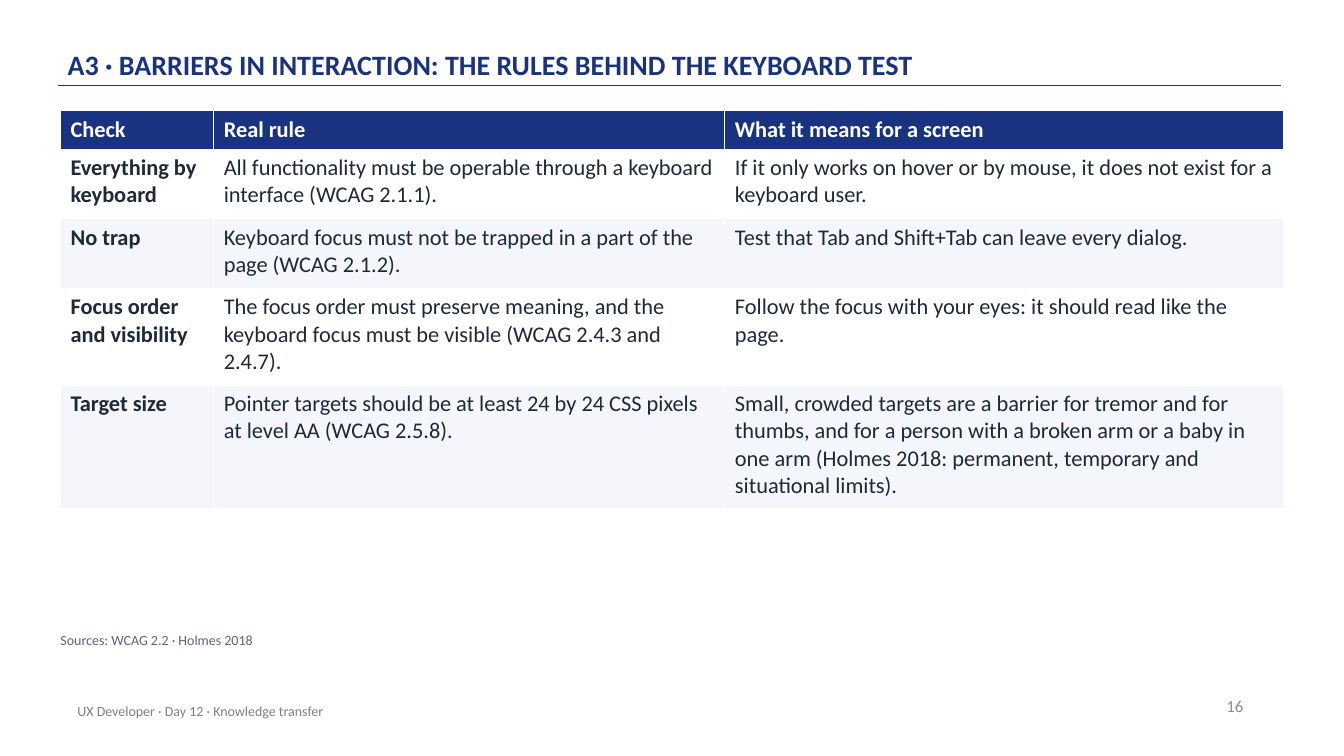
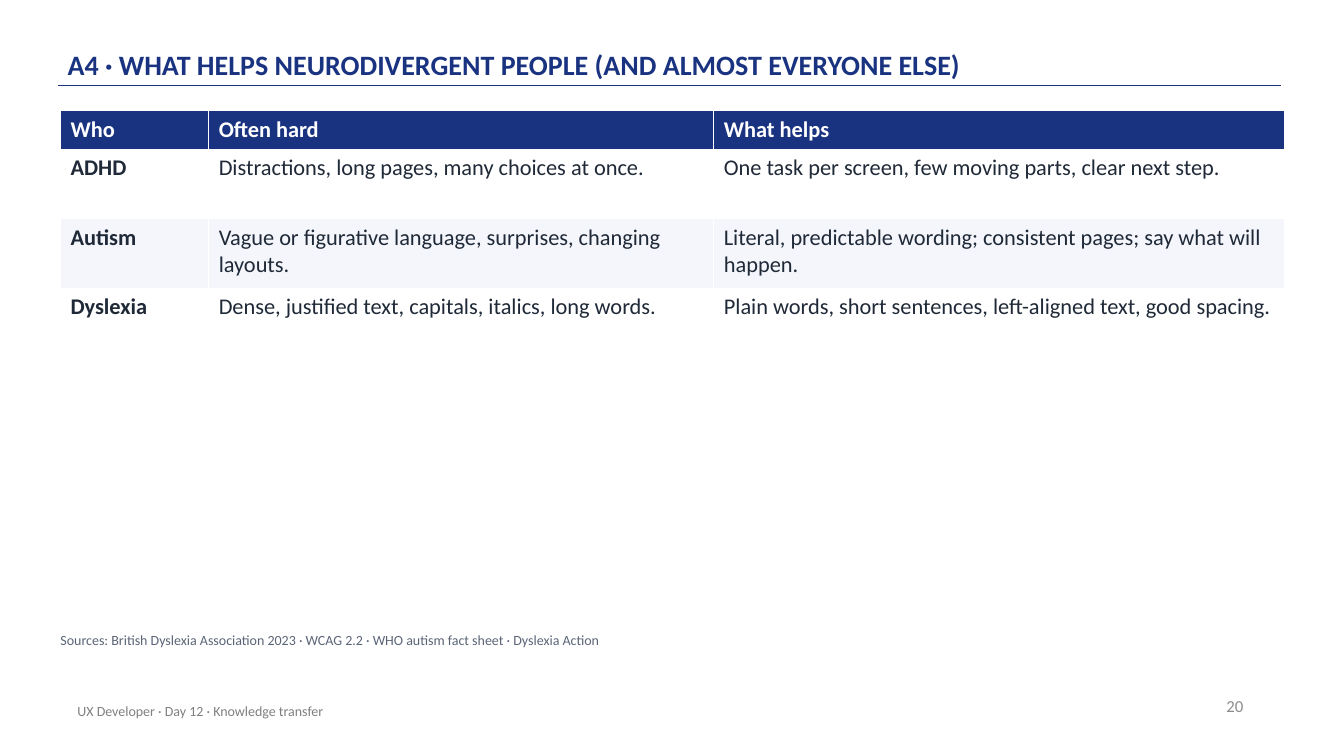
import pptx
import pptx.dml.color
import pptx.enum.shapes
import pptx.enum.text
import pptx.oxml.ns
import pptx.util
from lxml import etree
from pptx.util import Inches

COLORS = {
    "navy": "1A3381",
    "white": "FFFFFF",
    "band": "F4F6FB",
    "body": "1F2937",
    "source": "5B6577",
    "footer": "808080",
    "number": "8C8C8C",
}
FONT = "Calibri"
FOOTER = "UX Developer · Day 12 · Knowledge transfer"
ANCHOR = pptx.enum.text.MSO_ANCHOR
ALIGN = pptx.enum.text.PP_ALIGN

SLIDES = [
    {
        "title": "A3 · BARRIERS IN INTERACTION: THE RULES BEHIND THE KEYBOARD TEST",
        "number": 16,
        "sources": "Sources: WCAG 2.2 · Holmes 2018",
        "columns": [1.52, 5.07, 5.54],
        "heights": [0.38, 0.69, 0.69, 0.96, 1.23],
        "rows": [
            ["Check", "Real rule", "What it means for a screen"],
            ["Everything by keyboard",
             "All functionality must be operable through a keyboard interface (WCAG 2.1.1).",
             "If it only works on hover or by mouse, it does not exist for a keyboard user."],
            ["No trap",
             "Keyboard focus must not be trapped in a part of the page (WCAG 2.1.2).",
             "Test that Tab and Shift+Tab can leave every dialog."],
            ["Focus order and visibility",
             "The focus order must preserve meaning, and the keyboard focus must be visible "
             "(WCAG 2.4.3 and 2.4.7).",
             "Follow the focus with your eyes: it should read like the page."],
            ["Target size",
             "Pointer targets should be at least 24 by 24 CSS pixels at level AA (WCAG 2.5.8).",
             "Small, crowded targets are a barrier for tremor and for thumbs, and for a person "
             "with a broken arm or a baby in one arm (Holmes 2018: permanent, temporary and "
             "situational limits)."],
        ],
    },
    {
        "title": "A4 · WHAT HELPS NEURODIVERGENT PEOPLE (AND ALMOST EVERYONE ELSE)",
        "number": 20,
        "sources": "Sources: British Dyslexia Association 2023 · WCAG 2.2 · "
                   "WHO autism fact sheet · Dyslexia Action",
        "columns": [1.47, 5.01, 5.66],
        "heights": [0.38, 0.69, 0.69, 0.69],
        "rows": [
            ["Who", "Often hard", "What helps"],
            ["ADHD",
             "Distractions, long pages, many choices at once.",
             "One task per screen, few moving parts, clear next step."],
            ["Autism",
             "Vague or figurative language, surprises, changing layouts.",
             "Literal, predictable wording; consistent pages; say what will happen."],
            ["Dyslexia",
             "Dense, justified text, capitals, italics, long words.",
             "Plain words, short sentences, left-aligned text, good spacing."],
        ],
    },
]


def rgb(name):
    """Return the named colour."""
    return pptx.dml.color.RGBColor.from_string(COLORS[name])


def style(paragraph, size, color, bold=False):
    """Set the font of a paragraph."""
    font = paragraph.font
    font.name, font.size, font.bold = FONT, pptx.util.Pt(size), bold
    font.color.rgb = rgb(color)


def add_text(slide, box, text, size, color, bold=False, anchor=ANCHOR.MIDDLE,
             insets=(0.1, 0.05)):
    """Add a one-paragraph text box and return its paragraph."""
    frame = slide.shapes.add_textbox(*map(Inches, box)).text_frame
    frame.word_wrap = True
    frame.vertical_anchor = anchor
    frame.margin_left = frame.margin_right = Inches(insets[0])
    frame.margin_top = frame.margin_bottom = Inches(insets[1])
    paragraph = frame.paragraphs[0]
    paragraph.text = text
    style(paragraph, size, color, bold)
    return paragraph


def add_header(slide, box, title):
    """Add the title and the rule beneath it."""
    left, top, width, height = box
    paragraph = add_text(slide, (left + 0.09, top, 11, height - 0.01), title, 20, "navy",
                         True, ANCHOR.BOTTOM, (0, 0.03))
    paragraph.line_spacing = 0.9
    bottom = Inches(top + height)
    rule = slide.shapes.add_connector(pptx.enum.shapes.MSO_CONNECTOR.STRAIGHT,
                                      Inches(left), bottom, Inches(left + width), bottom)
    rule.line.color.rgb = rgb("navy")
    rule.line.width = pptx.util.Pt(1)
    etree.SubElement(rule._element.spPr, pptx.oxml.ns.qn("a:effectLst"))


def add_footer(slide, box, number):
    """Add the running footer and the slide number."""
    left, top, width, height = box
    add_text(slide, (left, top + 0.05, 6.7, height), FOOTER, 10, "footer")
    paragraph = add_text(slide, (left + width - 3, top, 3, height), str(number), 12, "number")
    paragraph.alignment = ALIGN.RIGHT


def add_rule_table(slide, left, top, columns, heights, rows):
    """Add a table with a navy header, banded rows and a bold first column."""
    table = slide.shapes.add_table(len(rows), len(columns), Inches(left), Inches(top),
                                   Inches(sum(columns)), Inches(sum(heights))).table
    for column, width in zip(table.columns, columns):
        column.width = Inches(width)
    for row_index, (row, height, texts) in enumerate(zip(table.rows, heights, rows)):
        row.height = Inches(height)
        header = row_index == 0
        fill = "navy" if header else "white" if row_index % 2 else "band"
        for column_index, (cell, text) in enumerate(zip(row.cells, texts)):
            cell.fill.solid()
            cell.fill.fore_color.rgb = rgb(fill)
            cell.text = text
            style(cell.text_frame.paragraphs[0], 16, "white" if header else "body",
                  header or column_index == 0)


def add_table_slide(presentation, content):
    """Add a slide with a title, a table, its sources and a footer."""
    slide = presentation.slides.add_slide(presentation.slide_layouts[6])
    add_header(slide, (0.58, 0.12, 12.13, 0.73), content["title"])
    add_footer(slide, (0.67, 6.8, 11.76, 0.4), content["number"])
    add_rule_table(slide, 0.6, 1.1, content["columns"], content["heights"], content["rows"])
    sources = add_text(slide, (0.6, 6.27, 12.1, 0.3), content["sources"], 10, "source",
                       anchor=ANCHOR.TOP, insets=(0, 0))
    sources.space_after = pptx.util.Pt(6)


def main():
    """Build and save the presentation."""
    presentation = pptx.Presentation()
    presentation.slide_width = Inches(13.33)
    presentation.slide_height = Inches(7.5)
    for content in SLIDES:
        add_table_slide(presentation, content)
    presentation.save("out.pptx")


if __name__ == "__main__":
    main()
